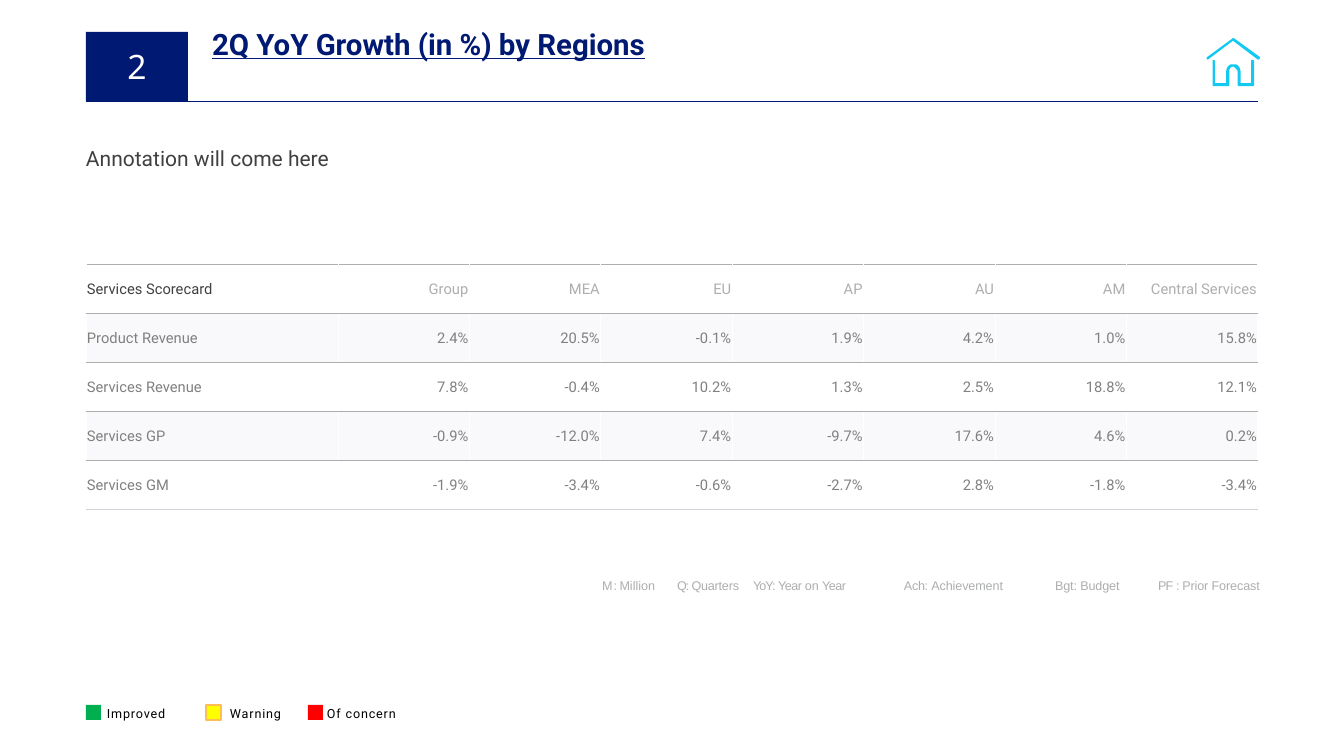
from lxml import etree
from pptx import Presentation
from pptx.dml.color import RGBColor
from pptx.enum.shapes import MSO_CONNECTOR, MSO_SHAPE
from pptx.enum.text import MSO_ANCHOR, MSO_AUTO_SIZE, PP_ALIGN
from pptx.oxml.ns import qn
from pptx.util import Pt

RECTANGLE = MSO_SHAPE.RECTANGLE
STRAIGHT = MSO_CONNECTOR.STRAIGHT
TOP, MIDDLE = MSO_ANCHOR.TOP, MSO_ANCHOR.MIDDLE
LEFT, CENTER, RIGHT = PP_ALIGN.LEFT, PP_ALIGN.CENTER, PP_ALIGN.RIGHT
NO_AUTOFIT = MSO_AUTO_SIZE.NONE

PX = 12095  # EMU in one px
COLORS = {
    "navy": "001973", "cyan": "14C9F1", "white": "FFFFFF", "black": "000000",
    "dark": "404040", "mid": "808080", "pale": "ADAEAF", "band": "F9F9FB",
    "base": "D0D3DA", "green": "00B050", "yellow": "FFFF00",
    "orange": "FFBD53", "red": "FF0000",
}
RGB = {name: RGBColor.from_string(value) for name, value in COLORS.items()}


def write(frame, runs, size, color, font="Roboto", margins=(0, 1, 0, 0),
          anchor=TOP, **paragraph_format):
    """Fill a text frame with one paragraph of (text, spacing in 1/100 pt) runs."""
    frame.word_wrap = True
    frame.vertical_anchor = anchor
    for side, margin in zip(("left", "top", "right", "bottom"), margins):
        setattr(frame, f"margin_{side}", margin * PX)
    paragraph = frame.paragraphs[0]
    for name, value in paragraph_format.items():
        setattr(paragraph, name, value)
    for text, spacing in runs:
        run = paragraph.add_run()
        run.text = text
        run.font.name, run.font.size = font, Pt(size)
        run.font.color.rgb = RGB[color]
        if spacing:
            run.font._element.set("spc", str(spacing))
    return paragraph


def paint(shape, fill, line=None):
    shape.shadow.inherit = False
    shape.fill.solid()
    shape.fill.fore_color.rgb = RGB[fill]
    if line:
        shape.line.color.rgb = RGB[line]
        shape.line.width = Pt(2)
    else:
        shape.line.fill.background()


prs = Presentation()
prs.slide_width, prs.slide_height = 1344 * PX, 756 * PX
slide = prs.slides.add_slide(prs.slide_layouts[5])
shapes = slide.shapes

# Heading
title = shapes.title
title.left, title.top, title.width, title.height = (
    212 * PX, 25 * PX, 844 * PX, 37 * PX)
heading = write(title.text_frame, [("2Q YoY Growth (in %) by Regions", 0)], 28,
                "navy", alignment=LEFT, space_before=Pt(1))
title.text_frame.auto_size = NO_AUTOFIT
heading.runs[0].font.bold = heading.runs[0].font.underline = True

# Home icon, outlined in tenths of a px
ROOF = [
    (12334, 378), (12066, 575), (12066, 590), (12081, 597), (12088, 590),
    (12330, 408), (12580, 597), (12595, 590), (12602, 575), (12595, 567),
]
WALLS = [
    (12126, 605), (12134, 597), (12149, 605), (12149, 832), (12262, 832),
    (12262, 711), (12270, 680), (12285, 658), (12308, 643), (12361, 643),
    (12383, 658), (12398, 680), (12406, 711), (12406, 832), (12512, 832),
    (12512, 605), (12519, 597), (12542, 605), (12542, 854), (12534, 862),
    (12383, 862), (12376, 847), (12376, 711), (12368, 696), (12345, 673),
    (12330, 665), (12315, 673), (12300, 680), (12293, 711), (12293, 854),
    (12285, 862), (12134, 862), (12126, 854),
]
for outline in (ROOF, WALLS):
    builder = shapes.build_freeform(*outline[0], scale=PX / 10)
    builder.add_line_segments(outline[1:], close=True)
    paint(builder.convert_to_shape(), "cyan")

rule = shapes.add_connector(STRAIGHT, 86 * PX, 101 * PX, 1258 * PX, 101 * PX)
rule.line.color.rgb = RGB["navy"]
rule.line.width = Pt(0.75)
etree.SubElement(rule._element.spPr, qn("a:effectLst"))

annotation = shapes.add_textbox(86 * PX, 132 * PX, 968 * PX, 36 * PX)
write(annotation.text_frame, [("Annotation will come here", 0)], 20, "dark",
      line_spacing=1.5)

number = shapes.add_shape(RECTANGLE, 86 * PX, 32 * PX, 102 * PX, 69 * PX)
paint(number, "navy")
write(number.text_frame, [("2", -200)], 32, "white", "Noto Sans",
      (0, 14, 0, 0), alignment=CENTER, space_before=Pt(13))

# Abbreviations, lined up on tab stops
ABBREVIATIONS = [
    ("M : ", -110), ("Million\t", 0), ("Q: ", -110), ("Quarters\t", -20),
    ("YoY: ", -90), ("Year ", -50), ("on ", -10), ("Year\t", -50),
    ("Ach: ", -30), ("Achievement\tBgt: Budget\t", -10), ("PF ", -70),
    (": ", -80), ("Prior Forecast", -10),
]
key = shapes.add_textbox(410 * PX, 577 * PX, 852 * PX, 22 * PX)
key_line = write(key.text_frame, ABBREVIATIONS, 12, "pale", "Arial",
                 (192, 1, 0, 0), space_before=Pt(1))
tab_list = etree.SubElement(key_line._p.get_or_add_pPr(), qn("a:tabLst"))
for stop in (75, 151, 302, 453, 556):
    etree.SubElement(tab_list, qn("a:tab"), pos=str(stop * PX), algn="l")

# Status legend: label, fill, outline, swatch left, label left
LEGEND = [
    ("Improved", "green", None, 86, 99),
    ("Of concern", "red", None, 308, 319),
    ("Warning", "yellow", "orange", 206, 222),
]
for label, fill, outline, swatch_left, label_left in LEGEND:
    swatch = shapes.add_shape(RECTANGLE, swatch_left * PX, 705 * PX, 15 * PX, 15 * PX)
    paint(swatch, fill, outline)
    caption = shapes.add_textbox(label_left * PX, 702 * PX, 140 * PX, 23 * PX)
    write(caption.text_frame, [(label, 80)], 12, "black", margins=(8, 4, 8, 4))

# Scorecard
SCORECARD = [
    ["Services Scorecard", "Group", "MEA", "EU", "AP", "AU", "AM", "Central Services"],
    ["Product Revenue", "2.4%", "20.5%", "-0.1%", "1.9%", "4.2%", "1.0%", "15.8%"],
    ["Services Revenue", "7.8%", "-0.4%", "10.2%", "1.3%", "2.5%", "18.8%", "12.1%"],
    ["Services GP", "-0.9%", "-12.0%", "7.4%", "-9.7%", "17.6%", "4.6%", "0.2%"],
    ["Services GM", "-1.9%", "-3.4%", "-0.6%", "-2.7%", "2.8%", "-1.8%", "-3.4%"],
]
last_row = len(SCORECARD) - 1
regions = len(SCORECARD[0]) - 1
table = shapes.add_table(len(SCORECARD), regions + 1, 86 * PX, 264 * PX,
                         1172 * PX, 245 * PX).table
table.columns[0].width = 252 * PX
for col in range(1, regions + 1):
    table.columns[col].width = (1172 - 252) * PX // regions

for row, values in enumerate(SCORECARD):
    table.rows[row].height = 49 * PX
    borders = {
        "lnL": ("white", 1),
        "lnR": ("white", 1),
        "lnT": ("pale", 0.25 if row else 0.5),
        "lnB": ("base", 1) if row == last_row else ("pale", 0.25),
    }
    for col, value in enumerate(values):
        cell = table.cell(row, col)
        color = "mid" if row else "pale" if col else "dark"
        write(cell.text_frame, [(value, 0)], 14, color,
              alignment=RIGHT if col else LEFT)
        cell.vertical_anchor = MIDDLE
        cell.margin_left = cell.margin_right = cell.margin_top = PX
        cell.margin_bottom = 0
        cell.fill.solid()
        cell.fill.fore_color.rgb = RGB["band" if row % 2 else "white"]
        properties = cell._tc.get_or_add_tcPr()
        for place, (edge, (edge_color, width)) in enumerate(borders.items()):
            line = etree.Element(qn(f"a:{edge}"), w=str(Pt(width)))
            fill = etree.SubElement(line, qn("a:solidFill"))
            etree.SubElement(fill, qn("a:srgbClr"), val=COLORS[edge_color])
            properties.insert(place, line)

prs.save("out.pptx")
